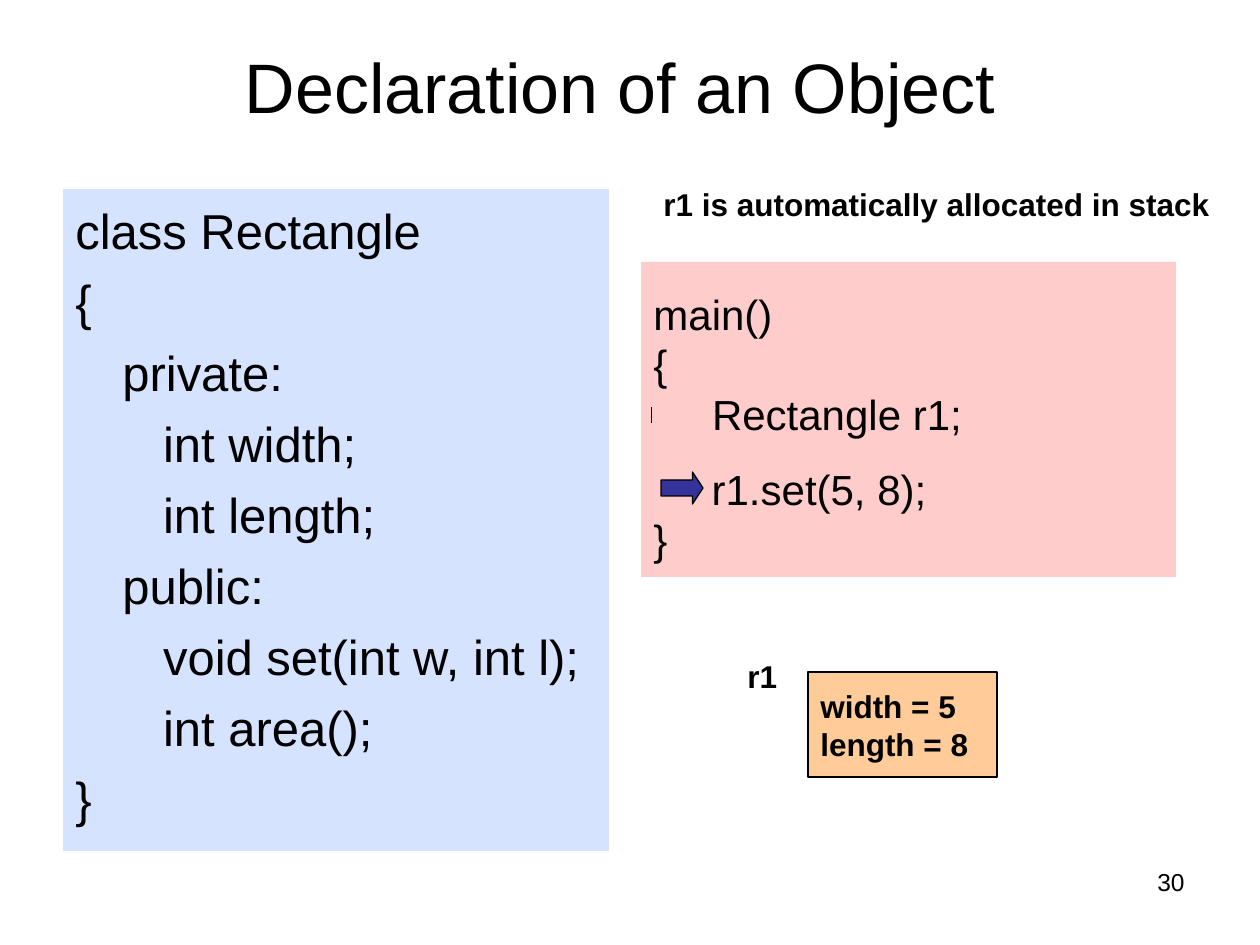
from dataclasses import dataclass
from typing import Optional

from pptx import Presentation
from pptx.dml.color import RGBColor
from pptx.enum.shapes import MSO_CONNECTOR, MSO_SHAPE
from pptx.enum.text import MSO_ANCHOR as Anchor, PP_ALIGN as Align
from pptx.oxml.ns import qn
from pptx.util import Emu, Pt
from lxml.etree import SubElement

EMU_PER_PX = 914400 / 126


def px(length: int) -> Emu:
    return Emu(round(length * EMU_PER_PX))


@dataclass(frozen=True)
class Theme:
    font: str = "Arial"
    text: str = "000000"
    class_fill: str = "D5E3FF"
    main_fill: str = "FFCCCC"
    object_fill: str = "FFCC99"
    arrow_fill: str = "333399"
    title_size: int = 40
    class_size: int = 28
    main_size: int = 24
    label_size: int = 18
    number_size: int = 14
    outline: float = 0.75


THEME = Theme()


@dataclass(frozen=True)
class Box:
    left: int
    top: int
    width: int
    height: int

    @property
    def emu(self) -> tuple:
        return tuple(map(px, (self.left, self.top, self.width, self.height)))


@dataclass(frozen=True)
class CodePanel:
    box: Box
    fill: str
    lines: tuple
    size: int
    gap: float
    top_margin: int
    line_spacing: float = 1.0


@dataclass(frozen=True)
class Label:
    box: Box
    text: str
    size: int = THEME.label_size
    bold: bool = True
    align: Align = Align.LEFT
    wrap: bool = False


CLASS_PANEL = CodePanel(
    Box(63, 189, 546, 662), THEME.class_fill,
    ("class Rectangle", "{", "\tprivate:", "\t   int width;",
     "\t   int length;", "\tpublic:", "\t   void set(int w, int l);",
     "\t   int area();", "}"),
    THEME.class_size, gap=7, top_margin=11)
MAIN_PANEL = CodePanel(
    Box(641, 262, 535, 315), THEME.main_fill,
    ("main()", "{", "\t Rectangle r1;", "     r1.set(5, 8);", "}"),
    THEME.main_size, gap=5.65, top_margin=36, line_spacing=0.8)
CALL_LINE = 3
CALL_GAP = 19.7
CODE_INDENT = 47

LABELS = (
    Label(Box(651, 179, 577, 50), "r1 is automatically allocated in stack"),
    Label(Box(735, 651, 55, 50), "r1"),
    Label(Box(903, 861, 294, 66), "30", THEME.number_size, False,
          Align.RIGHT, True),
)


def style_paragraph(paragraph, size: int, bold: bool = False,
                    align: Align = Align.LEFT) -> None:
    paragraph.alignment = align
    font = paragraph.font
    font.name, font.size, font.bold = THEME.font, Pt(size), bold
    font.color.rgb = RGBColor.from_string(THEME.text)


def add_filled_shape(slide, kind: MSO_SHAPE, box: Box, fill: str,
                     line: Optional[str] = None):
    shape = slide.shapes.add_shape(kind, *box.emu)
    shape.shadow.inherit = False
    shape.fill.solid()
    shape.fill.fore_color.rgb = RGBColor.from_string(fill)
    if line is None:
        shape.line.fill.background()
    else:
        shape.line.color.rgb = RGBColor.from_string(line)
        shape.line.width = Pt(THEME.outline)
    return shape


def add_code_panel(slide, panel: CodePanel):
    shape = add_filled_shape(slide, MSO_SHAPE.RECTANGLE, panel.box, panel.fill)
    frame = shape.text_frame
    frame.word_wrap = True
    frame.vertical_anchor = Anchor.TOP
    frame.margin_top = px(panel.top_margin)
    frame.text = "\n".join(panel.lines)
    for index, paragraph in enumerate(frame.paragraphs):
        properties = paragraph._p.get_or_add_pPr()
        properties.set("marL", str(px(CODE_INDENT)))
        properties.set("indent", str(-px(CODE_INDENT)))
        paragraph.line_spacing = panel.line_spacing
        paragraph.space_before = Pt(panel.gap if index else 0)
        style_paragraph(paragraph, panel.size)
    return shape


def add_label(slide, label: Label) -> None:
    frame = slide.shapes.add_textbox(*label.box.emu).text_frame
    frame.word_wrap = label.wrap
    frame.text = label.text
    style_paragraph(frame.paragraphs[0], label.size, label.bold, label.align)


def add_title(slide, text: str) -> None:
    title = slide.shapes.title
    title.left, title.top, title.width, title.height = Box(53, 42, 1134, 88).emu
    title.text_frame.text = text
    title.text_frame.vertical_anchor = Anchor.MIDDLE
    style_paragraph(title.text_frame.paragraphs[0], THEME.title_size,
                    align=Align.CENTER)


def add_declaration_mark(slide) -> None:
    """Draw the short upright stroke beside the declaration of r1."""
    mark = slide.shapes.add_connector(
        MSO_CONNECTOR.STRAIGHT, px(651), px(407), px(651), px(423))
    mark.line.color.rgb = RGBColor.from_string(THEME.text)
    mark.line.width = Pt(0.5)
    SubElement(mark._element.spPr, qn("a:effectLst"))


def add_object_box(slide) -> None:
    shape = add_filled_shape(slide, MSO_SHAPE.RECTANGLE,
                             Box(808, 672, 189, 105),
                             THEME.object_fill, THEME.text)
    frame = shape.text_frame
    frame.word_wrap = True
    frame.vertical_anchor = Anchor.MIDDLE
    frame.text = "width = 5\nlength = 8"
    for paragraph in frame.paragraphs:
        style_paragraph(paragraph, THEME.label_size, bold=True)


def main() -> None:
    presentation = Presentation()
    presentation.slide_width, presentation.slide_height = px(1260), px(945)
    slide = presentation.slides.add_slide(presentation.slide_layouts[5])

    add_title(slide, "Declaration of an Object")
    add_code_panel(slide, CLASS_PANEL)
    main_panel = add_code_panel(slide, MAIN_PANEL)
    call = main_panel.text_frame.paragraphs[CALL_LINE]
    call.space_before = Pt(CALL_GAP)
    for label in LABELS:
        add_label(slide, label)

    add_declaration_mark(slide)
    arrow = add_filled_shape(slide, MSO_SHAPE.RIGHT_ARROW,
                             Box(661, 472, 42, 32),
                             THEME.arrow_fill, THEME.text)
    arrow.adjustments[0], arrow.adjustments[1] = 0.5, 0.33
    add_object_box(slide)
    presentation.save("out.pptx")


if __name__ == "__main__":
    main()
